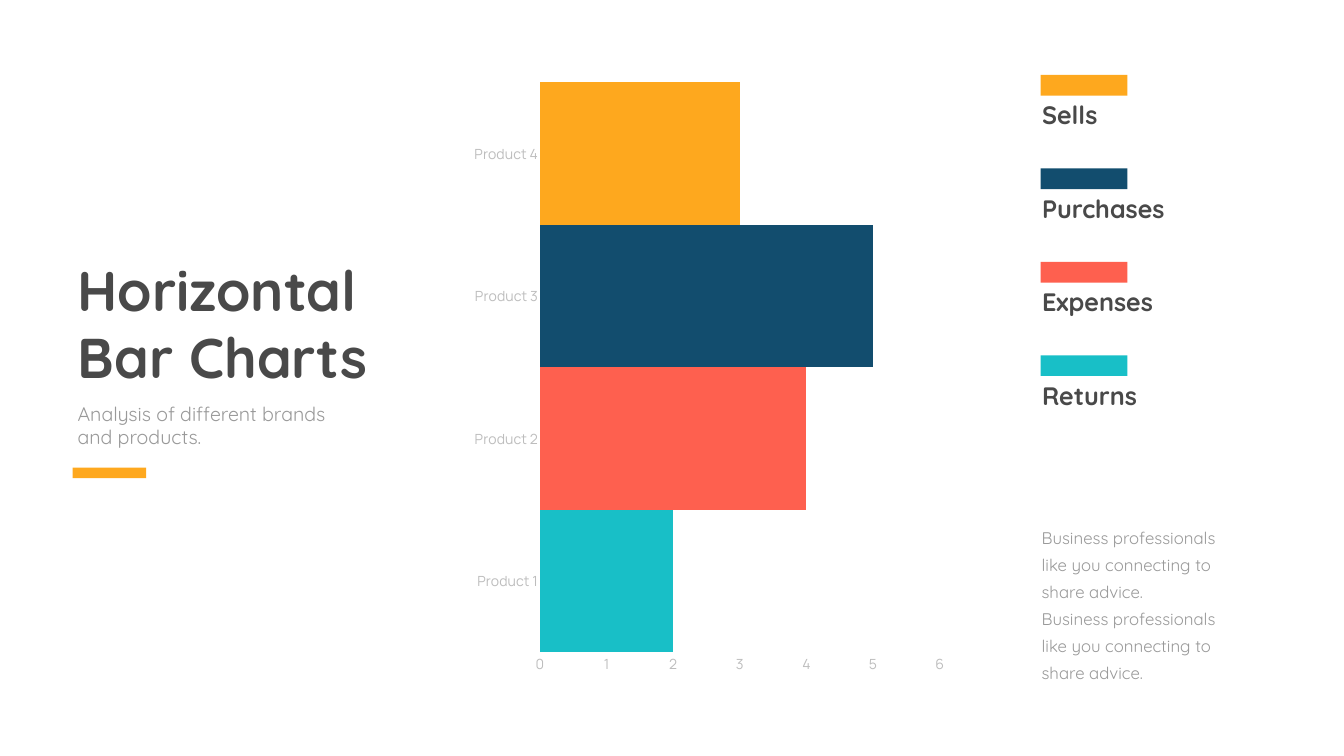
import pptx
import pptx.chart.data
import pptx.dml.color
import pptx.enum.chart
import pptx.enum.shapes
import pptx.enum.text
import pptx.util
from pptx.util import Cm

COLORS = {
    "yellow": "FEA81E", "navy": "124D6E", "coral": "FE604F", "teal": "18BFC7",
    "heading": "494949", "body": "999999", "label": "BDBDBD", "axis": "F0F0F0",
}
FORMATS = {
    "title": {"name": "Quicksand", "size": 80, "bold": True, "color": "heading"},
    "subtitle": {"name": "Quicksand", "size": 28, "bold": False, "color": "body"},
    "legend": {"name": "Quicksand", "size": 36, "bold": True, "color": "heading"},
    "note": {"name": "Quicksand", "size": 24, "bold": False, "color": "body"},
    "chart": {"name": "Manrope", "size": 20, "bold": False, "color": "body"},
    "axis": {"name": "Manrope", "size": 20, "bold": False, "color": "label"},
}
SALES = [("Product 1", 2, "teal"), ("Product 2", 4, "coral"),
         ("Product 3", 5, "navy"), ("Product 4", 3, "yellow")]
LEGEND = [("Sells", "yellow"), ("Purchases", "navy"),
          ("Expenses", "coral"), ("Returns", "teal")]
LEGEND_PITCH = 4.71
NOTE = "Business professionals like you connecting to share advice."


def rgb(color):
    return pptx.dml.color.RGBColor.from_string(COLORS[color])


def paint(fill, color):
    fill.solid()
    fill.fore_color.rgb = rgb(color)


def format_font(font, style):
    values = dict(FORMATS[style])
    font.color.rgb = rgb(values.pop("color"))
    values["size"] = pptx.util.Pt(values["size"])
    for name, value in values.items():
        setattr(font, name, value)


def write_text(shape, paragraphs, style, line_spacing=None):
    frame = shape.text_frame
    frame.text = "\n".join(paragraphs)
    settings = {
        "word_wrap": True,
        "vertical_anchor": pptx.enum.text.MSO_ANCHOR.TOP,
        "auto_size": pptx.enum.text.MSO_AUTO_SIZE.SHAPE_TO_FIT_TEXT,
    }
    for name, value in settings.items():
        setattr(frame, name, value)
    for paragraph in frame.paragraphs:
        paragraph.alignment = pptx.enum.text.PP_ALIGN.LEFT
        paragraph.line_spacing = line_spacing
        format_font(paragraph.runs[0].font, style)


def add_title(slide, text, left, top, width, height):
    title = slide.shapes.title
    position = {"left": left, "top": top, "width": width, "height": height}
    for name, value in position.items():
        setattr(title, name, Cm(value))
    write_text(title, [text], "title")


def add_text(slide, paragraphs, style, left, top, width, height, line_spacing=None):
    box = slide.shapes.add_textbox(Cm(left), Cm(top), Cm(width), Cm(height))
    write_text(box, paragraphs, style, line_spacing)


def add_bar(slide, color, left, top, width, height):
    bar = slide.shapes.add_shape(pptx.enum.shapes.MSO_SHAPE.RECTANGLE,
                                 Cm(left), Cm(top), Cm(width), Cm(height))
    bar.shadow.inherit = False
    paint(bar.fill, color)
    bar.line.fill.background()


def add_legend(slide):
    for index, (label, color) in enumerate(LEGEND):
        offset = index * LEGEND_PITCH
        add_text(slide, [label], "legend", 52.27, 4.9 + offset, 6.96, 1.8)
        add_bar(slide, color, 52.45, 3.78 + offset, 4.37, 1.04)


def format_axis(axis):
    axis.has_major_gridlines = False
    axis.major_tick_mark = pptx.enum.chart.XL_TICK_MARK.NONE
    axis.minor_tick_mark = pptx.enum.chart.XL_TICK_MARK.NONE
    format_font(axis.tick_labels.font, "axis")


def add_product_chart(slide):
    data = pptx.chart.data.CategoryChartData()
    data.categories = [product for product, _, _ in SALES]
    data.add_series("Series 1", [value for _, value, _ in SALES])
    chart = slide.shapes.add_chart(
        pptx.enum.chart.XL_CHART_TYPE.BAR_STACKED,
        Cm(23.42), Cm(3.53), Cm(24.66), Cm(31.04), data).chart
    chart.has_legend = False
    chart.has_title = False
    format_font(chart.font, "chart")

    plot = chart.plots[0]
    for name, value in {"gap_width": 0, "overlap": 100, "vary_by_categories": False}.items():
        setattr(plot, name, value)
    series = plot.series[0]
    paint(series.format.fill, "coral")
    for index, (_, _, color) in enumerate(SALES):
        paint(series.points[index].format.fill, color)

    format_axis(chart.category_axis)
    format_axis(chart.value_axis)
    line = chart.category_axis.format.line
    line.color.rgb = rgb("axis")
    line.width = pptx.util.Pt(0.75)
    chart.value_axis.format.line.fill.background()
    for name, value in {"minimum_scale": 0, "maximum_scale": 6, "major_unit": 1}.items():
        setattr(chart.value_axis, name, value)


def main():
    presentation = pptx.Presentation()
    presentation.slide_width = Cm(67.74)
    presentation.slide_height = Cm(38.1)
    slide = presentation.slides.add_slide(
        presentation.slide_layouts.get_by_name("Title Only"))

    add_title(slide, "Horizontal Bar Charts", 3.66, 12.73, 17.42, 7.09)
    add_text(slide, ["Analysis of different brands and products."], "subtitle",
             3.66, 20.12, 14.6, 2.64)
    add_bar(slide, "yellow", 3.66, 23.57, 3.71, 0.53)
    add_product_chart(slide)
    add_legend(slide)
    add_text(slide, [NOTE, NOTE], "note", 52.25, 26.14, 9.96, 8.43,
             line_spacing=pptx.util.Pt(38.6))
    presentation.save("out.pptx")


if __name__ == "__main__":
    main()
